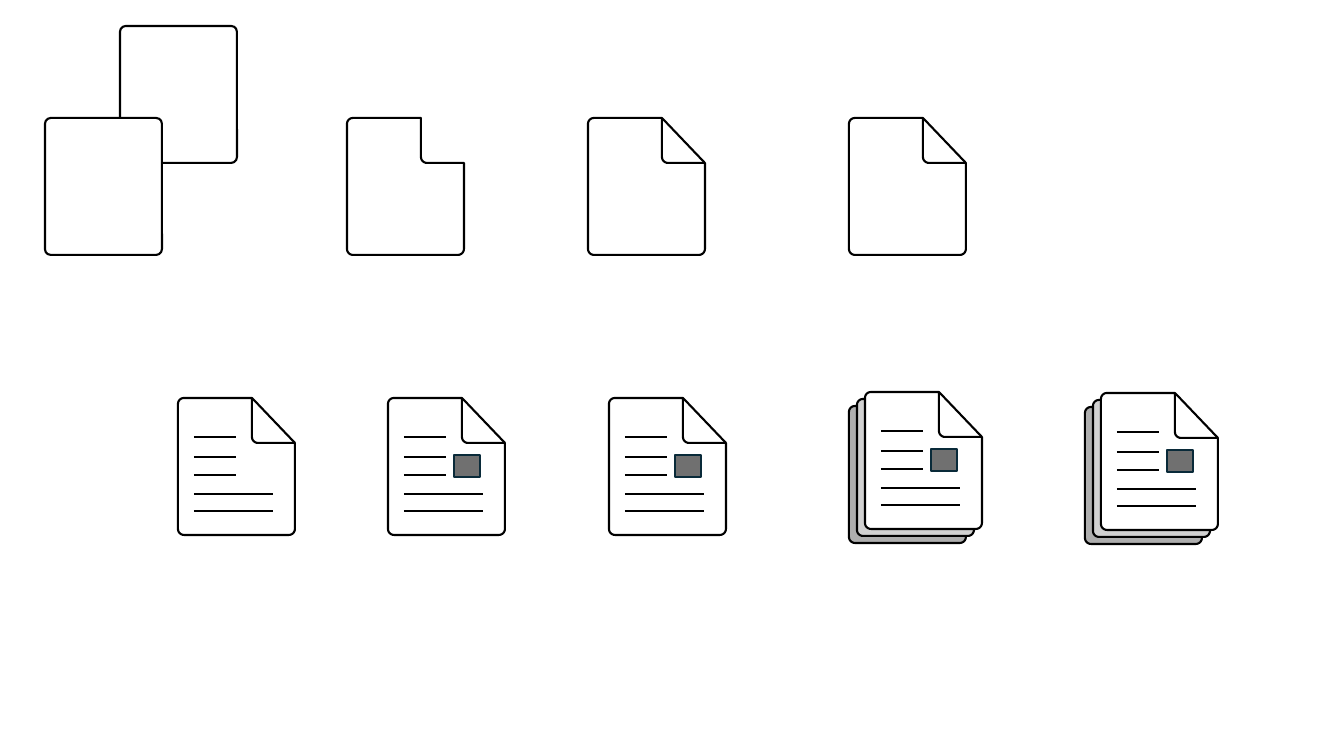
from math import cos, radians, sin

from lxml.etree import SubElement
from pptx import Presentation
from pptx.dml.color import RGBColor
from pptx.enum.shapes import MSO_CONNECTOR as LINK, MSO_SHAPE as SHAPE
from pptx.oxml.ns import qn
from pptx.util import Pt

# Content, in px
SLIDE = (1344, 756)
WIDE, HIGH, ROUND = 117, 137, 6
NOTCH = (74, 45)
SLANT = (32, 81)
CARDS = [(120, 26), (45, 118)]
# left, top, parts
ICONS = [
    (347, 118, ()),
    (588, 118, ("fold",)),
    (849, 118, ("fold",)),
    (178, 398, ("fold", "text")),
    (388, 398, ("fold", "text", "photo")),
    (609, 398, ("fold", "text", "photo")),
    (865, 392, ("stack", "fold", "text", "photo")),
    (1101, 393, ("stack", "fold", "text", "photo")),
]
# top, right end
ROWS = [(39, 58), (59, 58), (77, 58), (96, 95), (113, 95)]
INDENT = 16
PHOTO = (66, 57, 26, 22)
# shift left, shift down, fill
STACK = [(16, 14, "AEAEAE"), (8, 7, "D1D1D1")]
INK, PAPER, GREY, NAVY = "000000", "FFFFFF", "707070", "092A39"
STROKE = {"width": Pt(1.5)}

SCALE = 914400 / 100.8


def px(*vals):
    return [round(val * SCALE) for val in vals]


def tint(code):
    return RGBColor.from_string(code)


def stroke(line, code):
    line.fill.solid()
    line.color.rgb = tint(code)
    for name, val in STROKE.items():
        setattr(line, name, val)


def paint(shape, fill, ink=INK):
    shape.shadow.inherit = False
    shape.fill.solid()
    shape.fill.fore_color.rgb = tint(fill)
    stroke(shape.line, ink)


def rule(kit, *ends):
    link = kit.add_connector(LINK.STRAIGHT, *px(*ends))
    stroke(link.line, INK)
    SubElement(link._element.spPr, qn("a:effectLst"))


def arc(mid_x, mid_y, start, turn=90):
    """Points of a quarter circle, angles clockwise from the right."""
    angles = [radians(start + turn * step / 6) for step in range(7)]
    return [(mid_x + ROUND * cos(a), mid_y + ROUND * sin(a)) for a in angles]


def sheet(kit, left, top, cut, fill):
    """A page with three round corners; cut is its top right edge."""
    low = HIGH - ROUND
    dots = [*arc(ROUND, ROUND, 180), *cut,
            *arc(WIDE - ROUND, low, 0), *arc(ROUND, low, 90)]
    dots = [px(left + x, top + y) for x, y in dots]
    pen = kit.build_freeform(*dots[0], scale=1.0)
    pen.add_line_segments(dots[1:], close=True)
    paint(pen.convert_to_shape(), fill)


def icon(shapes, left, top, parts):
    kit = shapes.add_group_shape().shapes if parts else shapes
    x, y = NOTCH
    if "stack" in parts:
        slant = [(SLANT[0], 0), (WIDE, SLANT[1])]
        for back, down, fill in STACK:
            sheet(kit, left - back, top + down, slant, fill)
    notch = [(x, 0), *arc(x + ROUND, y - ROUND, 180, -90), (WIDE, y)]
    sheet(kit, left, top, notch, PAPER)
    if "fold" in parts:
        rule(kit, left + x, top, left + WIDE, top + y)
    if "text" in parts:
        for drop, end in ROWS:
            rule(kit, left + INDENT, top + drop, left + end, top + drop)
    if "photo" in parts:
        x, y, wide, high = PHOTO
        box = kit.add_shape(SHAPE.RECTANGLE, *px(left + x, top + y, wide, high))
        paint(box, GREY, NAVY)


def main():
    deck = Presentation()
    deck.slide_width, deck.slide_height = px(*SLIDE)
    shapes = deck.slides.add_slide(deck.slide_layouts[6]).shapes
    for left, top in CARDS:
        card = shapes.add_shape(SHAPE.ROUNDED_RECTANGLE, *px(left, top, WIDE, HIGH))
        card.adjustments[0] = 0.05
        paint(card, PAPER)
    for left, top, parts in ICONS:
        icon(shapes, left, top, parts)
    deck.save("out.pptx")


if __name__ == "__main__":
    main()
